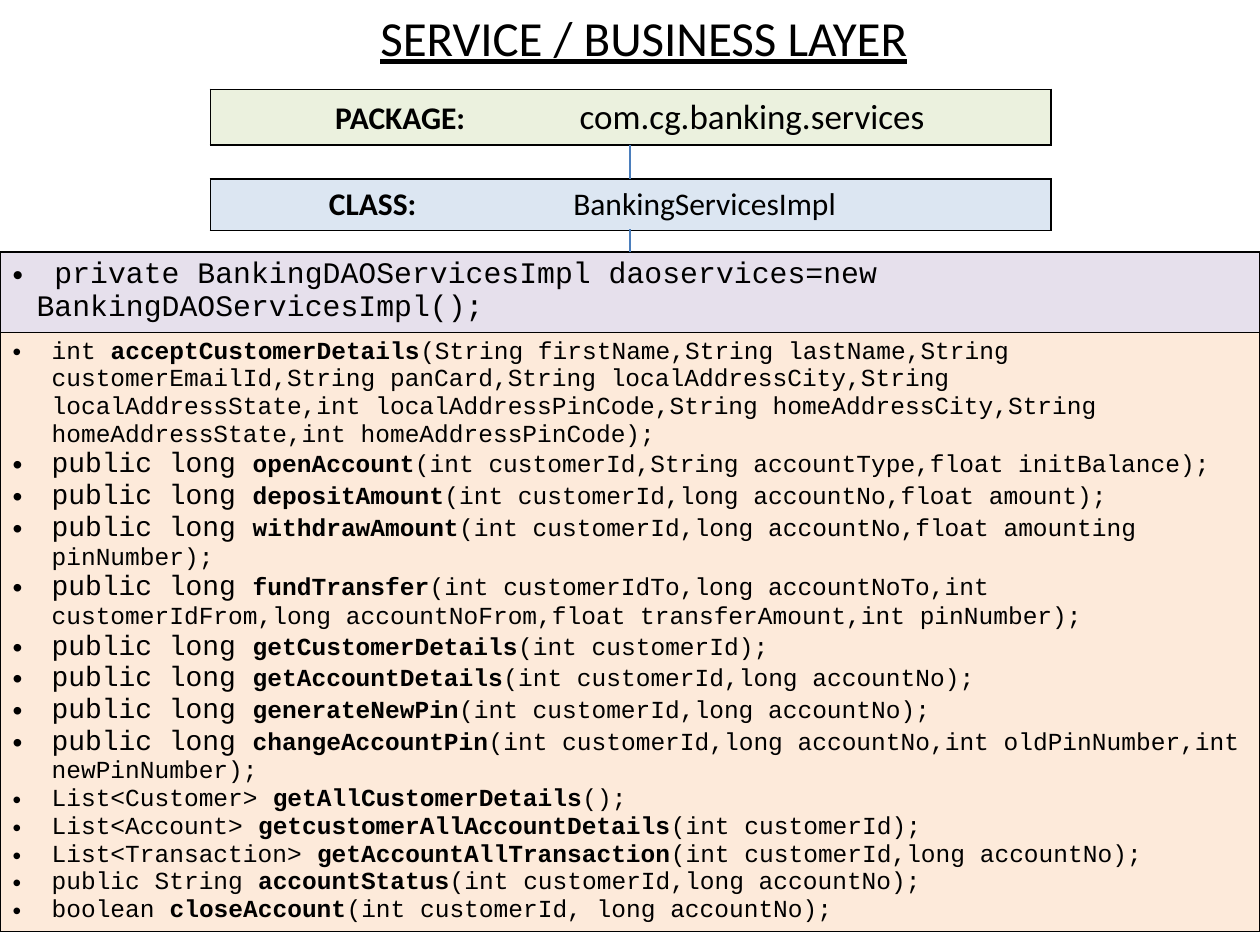
import pptx
import pptx.dml.color
import pptx.enum.shapes
import pptx.enum.text
import pptx.oxml
import pptx.oxml.ns
import pptx.util
from lxml import etree
from pptx.util import Inches

NS = pptx.oxml.ns.nsdecls("a")


def rgb(value):
    return pptx.dml.color.RGBColor.from_string(value)


def add_runs(p, runs, font):
    """Append (text, size, bold) runs to a paragraph in black."""
    for text, size, bold in runs:
        r = p.add_run()
        r.text = text
        r.font.name = font
        r.font.size = pptx.util.Pt(size)
        r.font.bold = bold
        r.font.color.rgb = rgb("000000")


prs = pptx.Presentation()
prs.slide_width = Inches(10)
prs.slide_height = Inches(7.5)
s = prs.slides.add_slide(prs.slide_layouts[6])

field = " private BankingDAOServicesImpl daoservices=new BankingDAOServicesImpl();"
# return type, its size, method name, parameters
methods = [
    ("int ", 14, "acceptCustomerDetails",
     "String firstName,String lastName,String customerEmailId,String panCard,"
     "String localAddressCity,String localAddressState,int localAddressPinCode,"
     "String homeAddressCity,String homeAddressState,int homeAddressPinCode"),
    ("public long ", 16, "openAccount",
     "int customerId,String accountType,float initBalance"),
    ("public long ", 16, "depositAmount",
     "int customerId,long accountNo,float amount"),
    ("public long ", 16, "withdrawAmount",
     "int customerId,long accountNo,float amounting pinNumber"),
    ("public long ", 16, "fundTransfer",
     "int customerIdTo,long accountNoTo,int customerIdFrom,"
     "long accountNoFrom,float transferAmount,int pinNumber"),
    ("public long ", 16, "getCustomerDetails", "int customerId"),
    ("public long ", 16, "getAccountDetails", "int customerId,long accountNo"),
    ("public long ", 16, "generateNewPin", "int customerId,long accountNo"),
    ("public long ", 16, "changeAccountPin",
     "int customerId,long accountNo,int oldPinNumber,int newPinNumber"),
    ("List<Customer> ", 14, "getAllCustomerDetails", ""),
    ("List<Account> ", 14, "getcustomerAllAccountDetails", "int customerId"),
    ("List<Transaction> ", 14, "getAccountAllTransaction",
     "int customerId,long accountNo"),
    ("public String ", 14, "accountStatus", "int customerId,long accountNo"),
    ("boolean ", 14, "closeAccount", "int customerId, long accountNo"),
]
method_lines = [
    [(kind, size, False), (name, 14, True), (f"({params});", 14, False)]
    for kind, size, name, params in methods
]
class_line = [("\tCLASS:", 18, True), ("\tBankingServicesImpl", 18, False)]
package_line = [("\tPACKAGE:", 18, True), ("\tcom.cg.banking.services", 20, False)]

# left, top, width, font, rows of (height, fill, hanging indent, tab stops, lines)
tables = [
    (0, 2, 10, "Courier New", [
        (0.59, "E6E0EC", 0.19, [], [[(field, 17, False)]]),
        (4.7, "FDEADA", 0.31, [], method_lines)]),
    (1.67, 1.42, 6.67, "Calibri",
     [(0.41, "DCE6F2", 0, [0.84, 2.78], [class_line])]),
    (1.67, 0.71, 6.67, "Calibri",
     [(0.43, "EBF1DE", 0, [0.89, 2.83], [package_line])]),
]
for left, top, width, font, rows in tables:
    height = sum(row[0] for row in rows)
    table = s.shapes.add_table(len(rows), 1, Inches(left), Inches(top),
                               Inches(width), Inches(height)).table
    table.first_row = False
    table.horz_banding = False
    for i, (row_height, fill, indent, stops, lines) in enumerate(rows):
        table.rows[i].height = Inches(row_height)
        cell = table.cell(i, 0)
        cell.fill.solid()
        cell.fill.fore_color.rgb = rgb(fill)
        tcPr = cell._tc.get_or_add_tcPr()
        for n, side in enumerate(("lnL", "lnR", "lnT", "lnB")):
            tcPr.insert(n, pptx.oxml.parse_xml(
                f'<a:{side} {NS} w="12700"><a:solidFill>'
                f'<a:srgbClr val="000000"/></a:solidFill></a:{side}>'))
        tf = cell.text_frame
        for n, runs in enumerate(lines):
            p = tf.add_paragraph() if n else tf.paragraphs[0]
            add_runs(p, runs, font)
            pPr = p._p.get_or_add_pPr()
            if indent:
                pPr.set("marL", str(Inches(indent)))
                pPr.set("indent", str(-Inches(indent)))
                pPr.append(pptx.oxml.parse_xml(f'<a:buFont {NS} typeface="Arial"/>'))
                pPr.append(pptx.oxml.parse_xml(f'<a:buChar {NS} char="•"/>'))
            if stops:
                tabs = etree.SubElement(pPr, pptx.oxml.ns.qn("a:tabLst"))
                for stop in stops:
                    etree.SubElement(tabs, pptx.oxml.ns.qn("a:tab"),
                                     pos=str(Inches(stop)), algn="l")

title = s.shapes.add_textbox(Inches(2.92), Inches(0.01), Inches(4.43), Inches(0.57))
tf = title.text_frame
tf.word_wrap = False
tf.auto_size = pptx.enum.text.MSO_AUTO_SIZE.SHAPE_TO_FIT_TEXT
p = tf.paragraphs[0]
add_runs(p, [("SERVICE / BUSINESS LAYER", 28, False)], "Calibri")
p.runs[0].font.underline = True

for y1, y2 in ((1.15, 1.42), (1.82, 2)):
    line = s.shapes.add_connector(pptx.enum.shapes.MSO_CONNECTOR.STRAIGHT,
                                  Inches(5), Inches(y1), Inches(5), Inches(y2))
    line.line.color.rgb = rgb("4B7EBC")
    line.line.width = pptx.util.Pt(0.75)
    etree.SubElement(line._element.spPr, pptx.oxml.ns.qn("a:effectLst"))

prs.save("out.pptx")
